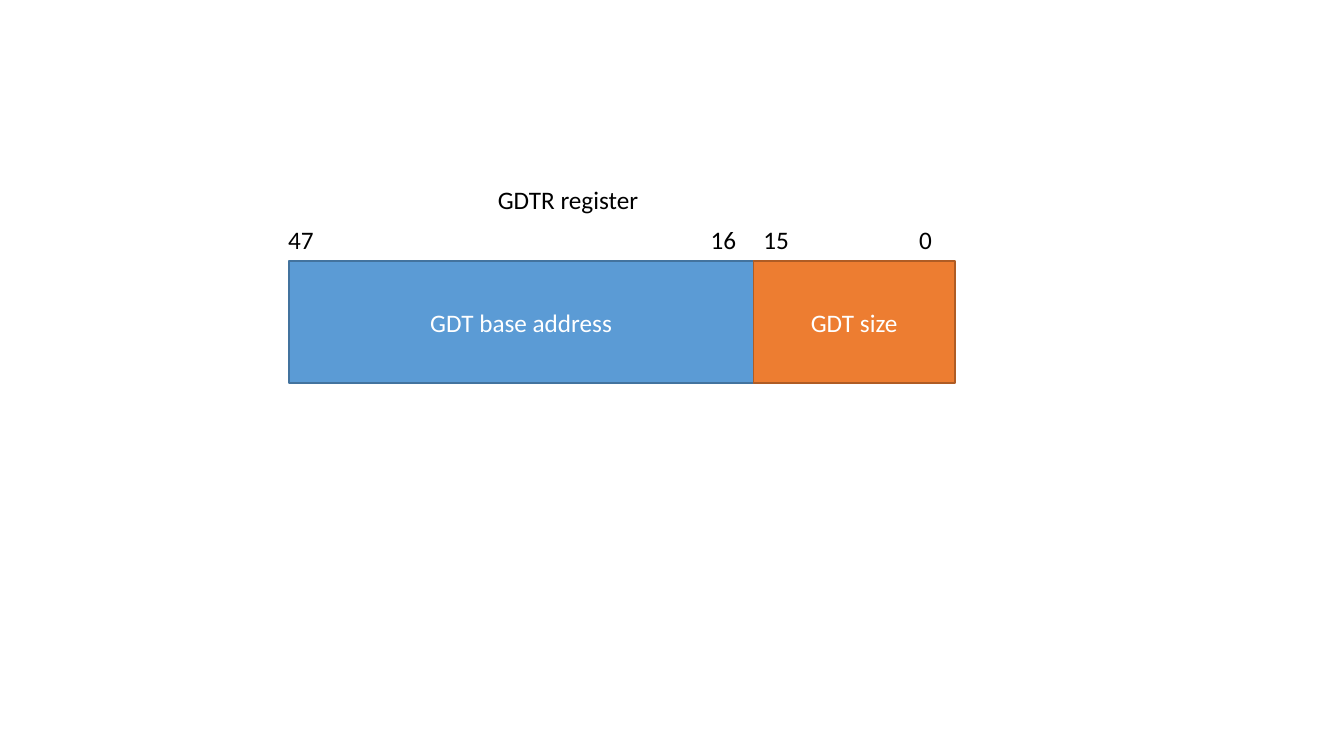
from dataclasses import dataclass

import pptx
import pptx.dml.color
import pptx.enum.shapes
import pptx.enum.text
import pptx.util


@dataclass(frozen=True)
class Theme:
    font: str = "Calibri"
    size: int = 18
    outline: int = 1
    ink: str = "000000"
    field_ink: str = "FFFFFF"
    blue: str = "5B9BD5"
    blue_edge: str = "43739E"
    orange: str = "ED7D31"
    orange_edge: str = "AF5C24"


@dataclass(frozen=True)
class Field:
    text: str
    width: float
    fill: str
    edge: str


@dataclass(frozen=True)
class Label:
    text: str
    left: float
    top: float
    width: float


THEME = Theme()
SLIDE_W = pptx.util.Inches(13.33)
SLIDE_H = pptx.util.Inches(7.5)

# Positions and sizes are percentages of the slide's width and height
REGISTER_LEFT, REGISTER_TOP, REGISTER_HEIGHT = 21.5, 34.53, 16.13
TITLE_TOP, BITS_TOP, LABEL_HEIGHT = 23.73, 29.07, 5.33
BIT_WIDTH = 8.55

FIELDS = [
    Field("GDT base address", 34.55, THEME.blue, THEME.blue_edge),
    Field("GDT size", 15, THEME.orange, THEME.orange_edge),
]
SIZE_LEFT = REGISTER_LEFT + FIELDS[0].width
LABELS = [
    Label("GDTR register", 36.3, TITLE_TOP, 30.45),
    Label("0", 67.65, BITS_TOP, 6.15),
    Label("16", 52.13, BITS_TOP, BIT_WIDTH),
    Label("15", SIZE_LEFT, BITS_TOP, BIT_WIDTH),
    Label("47", 20.7, BITS_TOP, BIT_WIDTH),
]


def across(share: float) -> int:
    return round(SLIDE_W * share / 100)


def down(share: float) -> int:
    return round(SLIDE_H * share / 100)


def rgb(value: str) -> pptx.dml.color.RGBColor:
    return pptx.dml.color.RGBColor.from_string(value)


def add_run(p, text: str, color: str) -> None:
    r = p.add_run()
    r.text = text
    r.font.name = THEME.font
    r.font.size = pptx.util.Pt(THEME.size)
    r.font.color.rgb = rgb(color)


def draw_field(s, field: Field, left: float) -> None:
    sp = s.shapes.add_shape(
        pptx.enum.shapes.MSO_SHAPE.RECTANGLE,
        across(left), down(REGISTER_TOP),
        across(field.width), down(REGISTER_HEIGHT))
    sp.shadow.inherit = False
    sp.fill.solid()
    sp.fill.fore_color.rgb = rgb(field.fill)
    sp.line.color.rgb = rgb(field.edge)
    sp.line.width = pptx.util.Pt(THEME.outline)
    tf = sp.text_frame
    tf.vertical_anchor = pptx.enum.text.MSO_ANCHOR.MIDDLE
    p = tf.paragraphs[0]
    p.alignment = pptx.enum.text.PP_ALIGN.CENTER
    add_run(p, field.text, THEME.field_ink)


def draw_label(s, label: Label) -> None:
    sp = s.shapes.add_textbox(
        across(label.left), down(label.top),
        across(label.width), down(LABEL_HEIGHT))
    tf = sp.text_frame
    tf.word_wrap = True
    tf.auto_size = pptx.enum.text.MSO_AUTO_SIZE.SHAPE_TO_FIT_TEXT
    add_run(tf.paragraphs[0], label.text, THEME.ink)


def main() -> None:
    prs = pptx.Presentation()
    prs.slide_width, prs.slide_height = SLIDE_W, SLIDE_H
    s = prs.slides.add_slide(prs.slide_layouts[6])

    # Register fields, side by side
    left = REGISTER_LEFT
    for field in FIELDS:
        draw_field(s, field, left)
        left += field.width

    # Title and bit numbers
    for label in LABELS:
        draw_label(s, label)

    prs.save("out.pptx")


if __name__ == "__main__":
    main()
